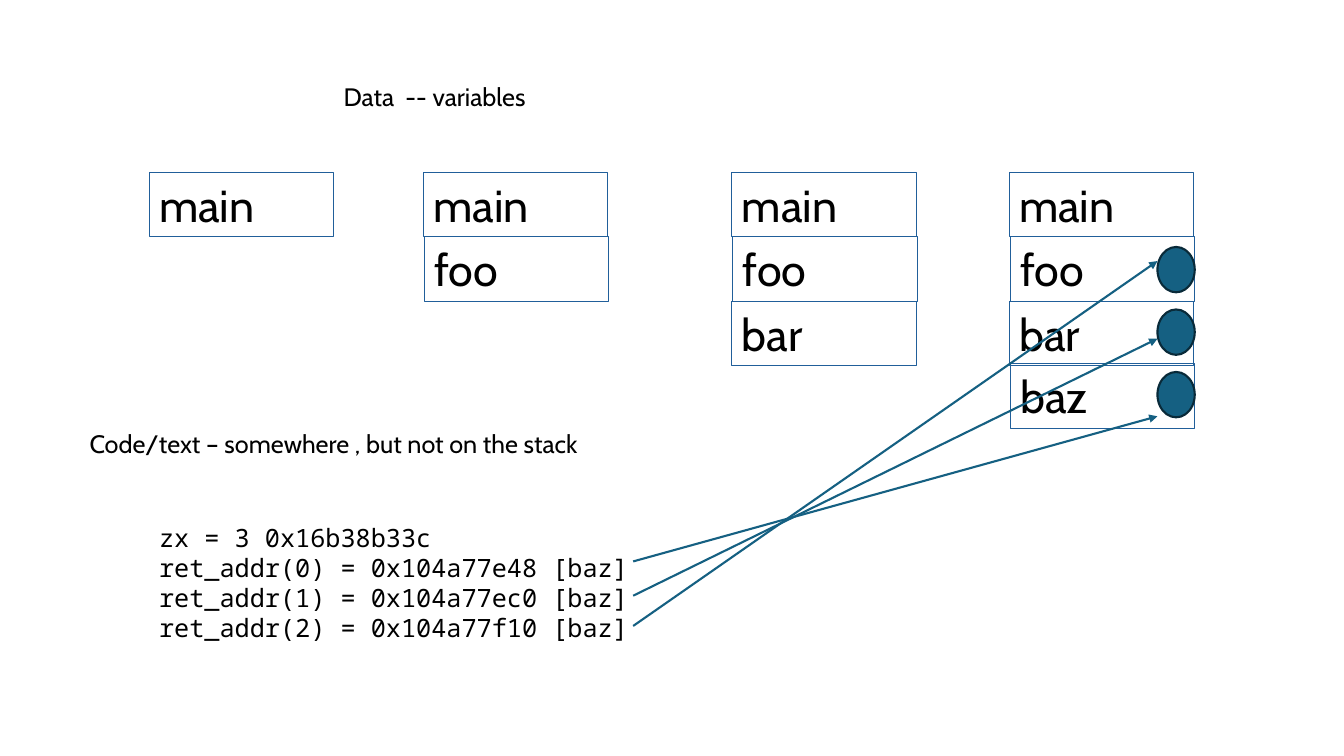
from lxml.etree import SubElement
from pptx import Presentation
from pptx.dml.color import RGBColor
from pptx.enum.shapes import MSO_CONNECTOR, MSO_SHAPE
from pptx.enum.text import MSO_ANCHOR, PP_ALIGN
from pptx.oxml.ns import qn
from pptx.util import Inches, Pt

BLACK = RGBColor(0x00, 0x00, 0x00)
FRAME_BLUE = RGBColor(0x21, 0x5F, 0x9A)
TEAL = RGBColor(0x15, 0x60, 0x82)
DARK_TEAL = RGBColor(0x09, 0x2A, 0x39)

# Grid of the stack diagrams, in inches
STACK_TOP = 1.71
FRAME_WIDTH, FRAME_HEIGHT = 1.83, 0.64
CALLS = ["main", "foo", "bar", "baz"]
STACK_LEFTS = [1.48, 4.2, 7.26, 10.01]

# Return address markers
MARKER_LEFT, MARKER_TOP, MARKER_STEP = 11.48, 2.45, 0.62
MARKER_WIDTH, MARKER_HEIGHT = 0.37, 0.45

prs = Presentation()
prs.slide_width, prs.slide_height = Inches(13.33), Inches(7.5)
slide = prs.slides.add_slide(prs.slide_layouts[6])
shapes = slide.shapes


def write(holder, text, size, font="Cabin", wrap=True):
    frame = holder.text_frame
    frame.text = text
    frame.word_wrap = wrap
    frame.vertical_anchor = MSO_ANCHOR.TOP
    for paragraph in frame.paragraphs:
        paragraph.alignment = PP_ALIGN.LEFT
        for run in paragraph.runs:
            run.font.size = Pt(size)
            run.font.name = font
            run.font.color.rgb = BLACK


# Stacks: each one holds one call more than the one before
for depth, stack_left in enumerate(STACK_LEFTS, start=1):
    for level, call in enumerate(CALLS[:depth]):
        left = stack_left + 0.01 * (level % 2)
        top = STACK_TOP + FRAME_HEIGHT * level
        if call == "baz":
            top -= 0.02
        call_frame = shapes.add_shape(
            MSO_SHAPE.RECTANGLE, Inches(left), Inches(top),
            Inches(FRAME_WIDTH), Inches(FRAME_HEIGHT))
        call_frame.shadow.inherit = False
        call_frame.fill.background()
        call_frame.line.color.rgb = FRAME_BLUE
        call_frame.line.width = Pt(0.75)
        write(call_frame, call, 32)

# Markers on foo, bar and baz of the deepest stack
for row in range(3):
    marker = shapes.add_shape(
        MSO_SHAPE.OVAL, Inches(MARKER_LEFT), Inches(MARKER_TOP + MARKER_STEP * row),
        Inches(MARKER_WIDTH), Inches(MARKER_HEIGHT))
    marker.shadow.inherit = False
    marker.fill.solid()
    marker.fill.fore_color.rgb = TEAL
    marker.line.color.rgb = DARK_TEAL
    marker.line.width = Pt(1.5)

# Program output
output = shapes.add_textbox(Inches(1.48), Inches(5.13), Inches(6.66), Inches(1.31))
write(output, "\n".join([
    "zx = 3 0x16b38b33c",
    "ret_addr(0) = 0x104a77e48 [baz]",
    "ret_addr(1) = 0x104a77ec0 [baz]",
    "ret_addr(2) = 0x104a77f10 [baz]",
]), 18, "Noto Sans Mono")
for paragraph in output.text_frame.paragraphs:
    paragraph.line_spacing = Pt(21.5)

# Arrows from each return address to its marker
for start_y, end_y in [(5.57, 4.13), (5.91, 3.36), (6.21, 2.59)]:
    arrow = shapes.add_connector(
        MSO_CONNECTOR.STRAIGHT, Inches(6.28), Inches(start_y),
        Inches(MARKER_LEFT), Inches(end_y))
    arrow.line.color.rgb = TEAL
    arrow.line.width = Pt(1.5)
    SubElement(arrow.line._get_or_add_ln(), qn("a:tailEnd"), type="triangle")
    SubElement(arrow._element.spPr, qn("a:effectLst"))

# Headings
for heading, left, top, width in [
    ("Data  -- variables", 3.31, 0.76, 2.04),
    ("Code/text – somewhere , but not on the stack", 0.79, 4.2, 5.24),
]:
    heading_box = shapes.add_textbox(Inches(left), Inches(top), Inches(width), Inches(0.4))
    write(heading_box, heading, 18, wrap=False)

prs.save("out.pptx")
